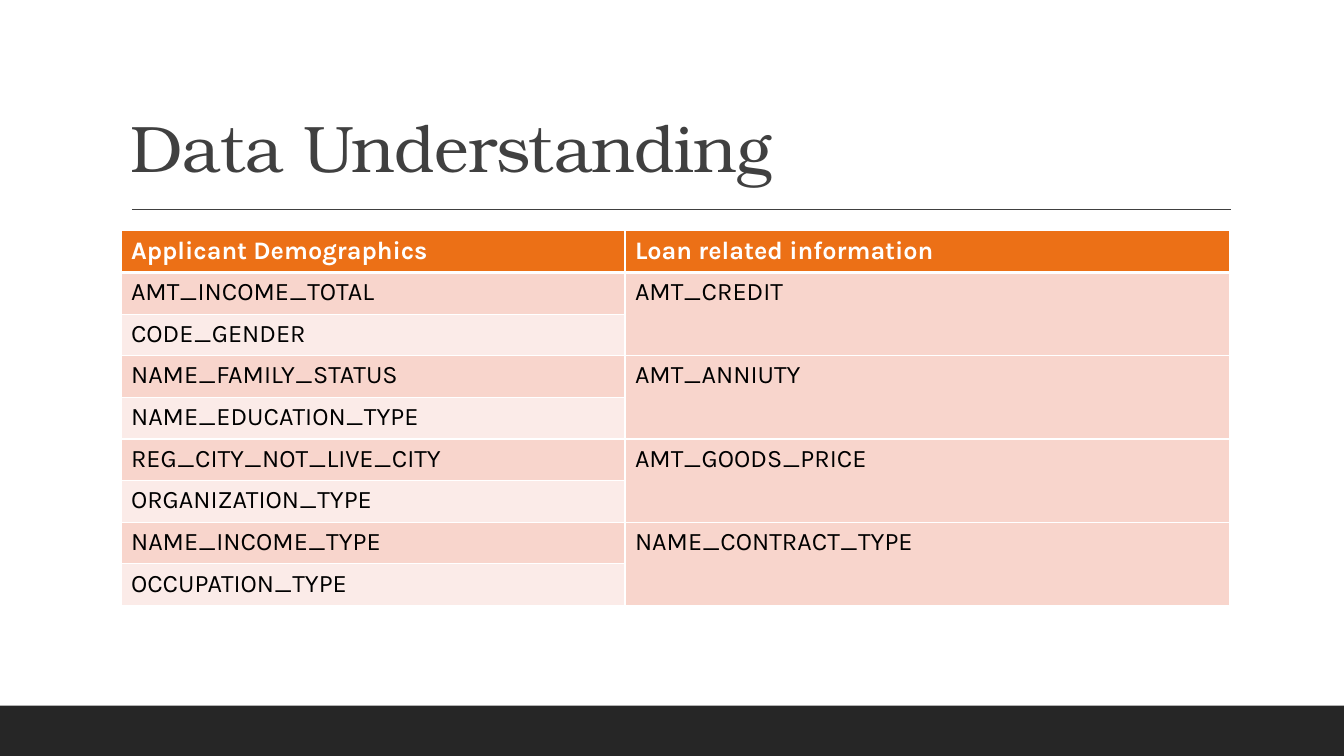
from dataclasses import dataclass
from lxml.etree import SubElement
from pptx import Presentation
from pptx.dml.color import RGBColor as Color
from pptx.enum.shapes import MSO_CONNECTOR as Connector, MSO_SHAPE as Shape
from pptx.enum.text import MSO_ANCHOR as Anchor
from pptx.oxml import parse_xml
from pptx.oxml.ns import nsdecls, qn
from pptx.util import Pt


@dataclass(frozen=True)
class Theme:
    dark: str = "262626"
    gray: str = "404040"
    header: str = "EC7016"
    bands: tuple = ("F8D5CC", "FBEBE8")
    white: str = "FFFFFF"
    black: str = "000000"
    title_font: str = "TeX Gyre Bonum"
    body_font: str = "Karla"
    title_size: int = 47
    body_size: int = 18


theme = Theme()


def style_run(span, name, size, color, bold=False):
    span.font.name = name
    span.font.size = Pt(size)
    span.font.bold = bold
    span.font.color.rgb = Color.from_string(color)


def style_cell(cell, fill, top=1, bottom=1):
    cell.fill.solid()
    cell.fill.fore_color.rgb = Color.from_string(fill)
    properties = cell._tc.get_or_add_tcPr()
    widths = {"lnL": 1, "lnR": 1, "lnT": top, "lnB": bottom}
    for index, (side, width) in enumerate(widths.items()):
        properties.insert(index, parse_xml(
            f'<a:{side} {nsdecls("a")} w="{Pt(width)}"><a:solidFill>'
            f'<a:srgbClr val="{theme.white}"/></a:solidFill></a:{side}>'))


deck = Presentation()
deck.slide_width, deck.slide_height = Pt(960), Pt(540)
page = deck.slides.add_slide(deck.slide_layouts[6])

# Footer band
band = page.shapes.add_shape(Shape.RECTANGLE, Pt(0), Pt(504), Pt(960), Pt(36))
band.shadow.inherit = False
band.fill.solid()
band.fill.fore_color.rgb = Color.from_string(theme.dark)
band.line.fill.background()

# Rule under the title
rule = page.shapes.add_connector(Connector.STRAIGHT, Pt(94.3), Pt(149.5), Pt(879), Pt(149.5))
rule.line.color.rgb = Color.from_string(theme.gray)
rule.line.width = Pt(1)
SubElement(rule._element.spPr, qn("a:effectLst"))

# Title
box = page.shapes.add_textbox(Pt(86.4), Pt(22.5), Pt(792), Pt(114.2))
box.text_frame.word_wrap = True
box.text_frame.vertical_anchor = Anchor.BOTTOM
box.text_frame.text = "Data Understanding"
para = box.text_frame.paragraphs[0]
para.line_spacing = 0.9
span = para.runs[0]
style_run(span, theme.title_font, theme.title_size, theme.gray)
span.font._element.set("spc", "-50")

# Table: each loan field spans two applicant fields
headings = ["Applicant Demographics", "Loan related information"]
applicant_fields = [
    "AMT_INCOME_TOTAL", "CODE_GENDER", "NAME_FAMILY_STATUS", "NAME_EDUCATION_TYPE",
    "REG_CITY_NOT_LIVE_CITY", "ORGANIZATION_TYPE", "NAME_INCOME_TYPE", "OCCUPATION_TYPE",
]
loan_fields = ["AMT_CREDIT", "AMT_ANNIUTY", "AMT_GOODS_PRICE", "NAME_CONTRACT_TYPE"]
row_count = len(applicant_fields) + 1
row_height = 29.75
table = page.shapes.add_table(
    row_count, 2, Pt(86.4), Pt(164.9), Pt(792), Pt(row_height * row_count)).table
for column, width in zip(table.columns, (360, 432)):
    column.width = Pt(width)
for row in table.rows:
    row.height = Pt(row_height)

for column, heading in enumerate(headings):
    table.cell(0, column).text = heading
for row, field in enumerate(applicant_fields, 1):
    table.cell(row, 0).text = field
for index, field in enumerate(loan_fields):
    first = 2 * index + 1
    table.cell(first, 1).merge(table.cell(first + 1, 1))
    table.cell(first, 1).text = field

for row in range(row_count):
    for column in range(2):
        cell = table.cell(row, column)
        is_header = row == 0
        fill = theme.header if is_header else theme.bands[(row - 1) % 2]
        style_cell(cell, fill, top=3 if row == 1 else 1, bottom=3 if is_header else 1)
        for span in cell.text_frame.paragraphs[0].runs:
            color = theme.white if is_header else theme.black
            style_run(span, theme.body_font, theme.body_size, color, is_header)

deck.save("out.pptx")
